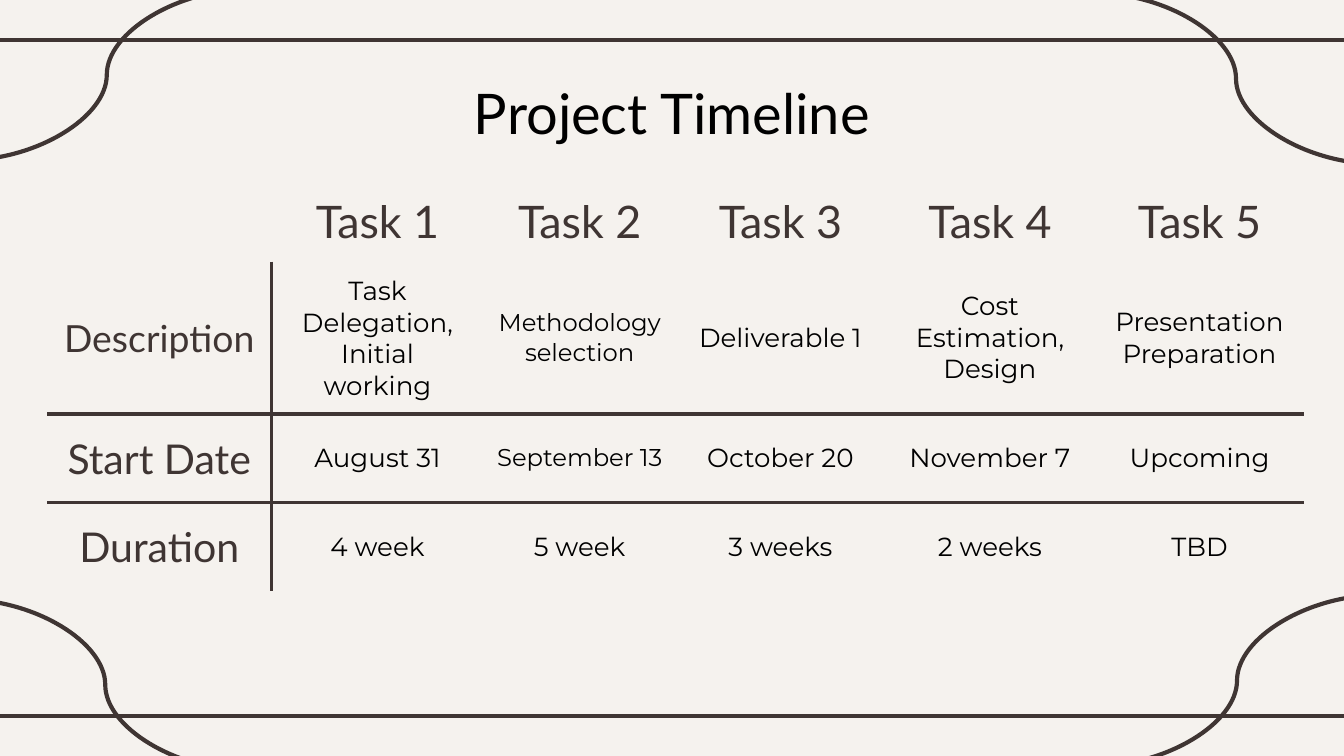
from dataclasses import dataclass
from typing import Any

import pptx
import pptx.dml.color
import pptx.enum.shapes
import pptx.enum.text
import pptx.oxml
import pptx.oxml.ns
import pptx.util

Cm = pptx.util.Cm
Pt = pptx.util.Pt
Connector = pptx.enum.shapes.MSO_CONNECTOR
Anchor = pptx.enum.text.MSO_ANCHOR


@dataclass(frozen=True)
class Theme:
    background: str = "F5F2EE"
    ink: str = "3F3533"
    text: str = "000000"
    heading_font: str = "Lato"
    body_font: str = "Montserrat"
    title_size: int = 30
    task_size: int = 24
    label_size: int = 22
    long_label_size: int = 20
    body_size: int = 14
    tight_size: int = 13
    line_width: float = 2.25
    margin: float = 0.25


@dataclass(frozen=True)
class Line:
    x1: float
    y1: float
    x2: float
    y2: float
    kind: Any = Connector.STRAIGHT


@dataclass(frozen=True)
class Row:
    height: float
    label: str
    entries: tuple[str, ...]
    label_size: int


THEME = Theme()
WIDTH, HEIGHT = 25.4, 14.29
CURVE_W, CURVE_H = 5.36, 3.23


def rule(y: float) -> Line:
    return Line(-0.2, y, WIDTH + 0.2, y)


def curve(x: float, y: float, direction: int) -> Line:
    return Line(x, y, x + direction * CURVE_W, y + CURVE_H, Connector.CURVE)


LINES = (
    rule(0.76),
    rule(13.54),
    curve(-0.69, 11.33, 1),
    curve(20.68, -0.13, 1),
    curve(26.06, 11.25, -1),
    curve(4.7, -0.2, -1),
)
COLUMNS = (4.24, 4.01, 3.63, 3.96, 3.96, 3.96)
ROWS = (
    Row(1.35, "", tuple(f"Task {n}" for n in range(1, 6)), THEME.task_size),
    Row(1.68, "Description",
        ("Task Delegation, Initial working", "Methodology selection", "Deliverable 1",
         "Cost Estimation, Design", "Presentation Preparation"), THEME.long_label_size),
    Row(1.68, "Start Date",
        ("August 31", "September 13", "October 20", "November 7", "Upcoming"),
        THEME.label_size),
    Row(1.68, "Duration", ("4 week", "5 week", "3 weeks", "2 weeks", "TBD"),
        THEME.label_size),
)
TIGHT_ENTRIES = {"Methodology selection", "September 13"}


def rgb(value: str) -> pptx.dml.color.RGBColor:
    return pptx.dml.color.RGBColor.from_string(value)


def style_paragraph(p: Any, font: str, size: int, color: str) -> None:
    p.alignment = pptx.enum.text.PP_ALIGN.CENTER
    p.font.name = font
    p.font.size = Pt(size)
    p.font.color.rgb = rgb(color)


def set_margins(target: Any) -> None:
    for side in ("left", "right", "top", "bottom"):
        setattr(target, f"margin_{side}", Cm(THEME.margin))


def draw_line(slide: Any, line: Line) -> None:
    sp = slide.shapes.add_connector(
        line.kind, Cm(line.x1), Cm(line.y1), Cm(line.x2), Cm(line.y2))
    sp.line.color.rgb = rgb(THEME.ink)
    sp.line.width = Pt(THEME.line_width)
    sp._element.spPr.append(pptx.oxml.parse_xml(
        f'<a:effectLst {pptx.oxml.ns.nsdecls("a")}/>'))


def draw_title(slide: Any, text: str) -> None:
    sp = slide.shapes.add_textbox(Cm(1.98), Cm(1.24), Cm(21.44), Cm(1.6))
    tf = sp.text_frame
    tf.word_wrap = True
    set_margins(tf)
    p = tf.paragraphs[0]
    p.text = text
    style_paragraph(p, THEME.heading_font, THEME.title_size, THEME.text)


def set_borders(cell: Any, visible: str) -> None:
    for side in "LRTB":
        paint = (f'<a:solidFill><a:srgbClr val="{THEME.ink}"/></a:solidFill>'
                 if side in visible else "<a:noFill/>")
        cell._tc.get_or_add_tcPr().append(pptx.oxml.parse_xml(
            f'<a:ln{side} {pptx.oxml.ns.nsdecls("a")} w="{Pt(THEME.line_width)}">'
            f"{paint}</a:ln{side}>"))


def visible_borders(row: int, column: int) -> str:
    if row == 0:
        return ""
    sides = {0: "R", 1: "L"}.get(column, "")
    if row > 1:
        sides += "T"
    if row < len(ROWS) - 1:
        sides += "B"
    return sides


def fill_cell(cell: Any, text: str, font: str, size: int, color: str, borders: str) -> None:
    cell.vertical_anchor = Anchor.MIDDLE
    set_margins(cell)
    set_borders(cell, borders)
    cell.fill.background()
    p = cell.text_frame.paragraphs[0]
    if text:
        p.text = text
    style_paragraph(p, font, size, color)


def draw_table(slide: Any) -> None:
    table = slide.shapes.add_table(
        len(ROWS), len(COLUMNS), Cm(0.89), Cm(3.43),
        Cm(sum(COLUMNS)), Cm(sum(row.height for row in ROWS))).table
    table.first_row = False
    table.horz_banding = False
    for column, width in zip(table.columns, COLUMNS):
        column.width = Cm(width)
    for r, row in enumerate(ROWS):
        table.rows[r].height = Cm(row.height)
        for c, text in enumerate((row.label, *row.entries)):
            if r == 0 or c == 0:
                look = (THEME.heading_font, row.label_size, THEME.ink)
            else:
                size = THEME.tight_size if text in TIGHT_ENTRIES else THEME.body_size
                look = (THEME.body_font, size, THEME.text)
            fill_cell(table.cell(r, c), text, *look, visible_borders(r, c))


def main() -> None:
    prs = pptx.Presentation()
    prs.slide_width, prs.slide_height = Cm(WIDTH), Cm(HEIGHT)
    slide = prs.slides.add_slide(prs.slide_layouts[6])
    slide.background.fill.solid()
    slide.background.fill.fore_color.rgb = rgb(THEME.background)
    for line in LINES:
        draw_line(slide, line)
    draw_title(slide, "Project Timeline")
    draw_table(slide)
    prs.save("out.pptx")


if __name__ == "__main__":
    main()
